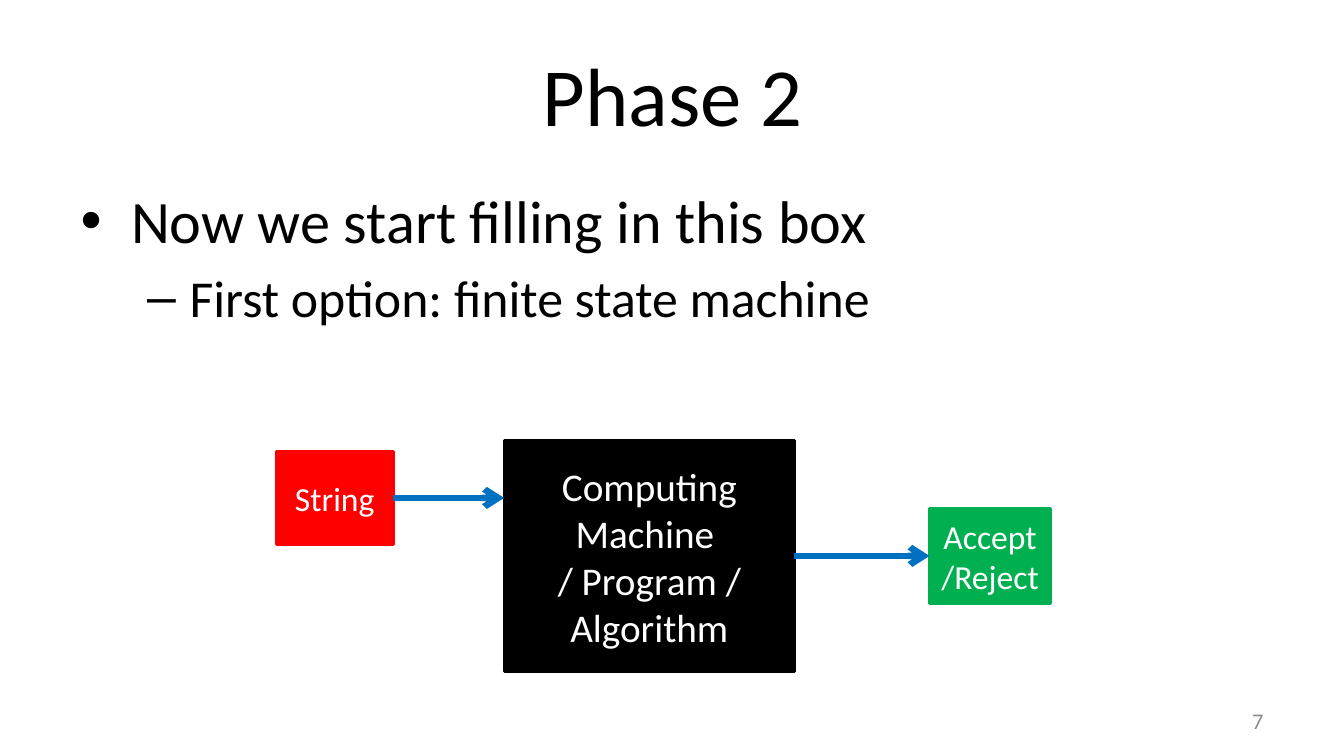
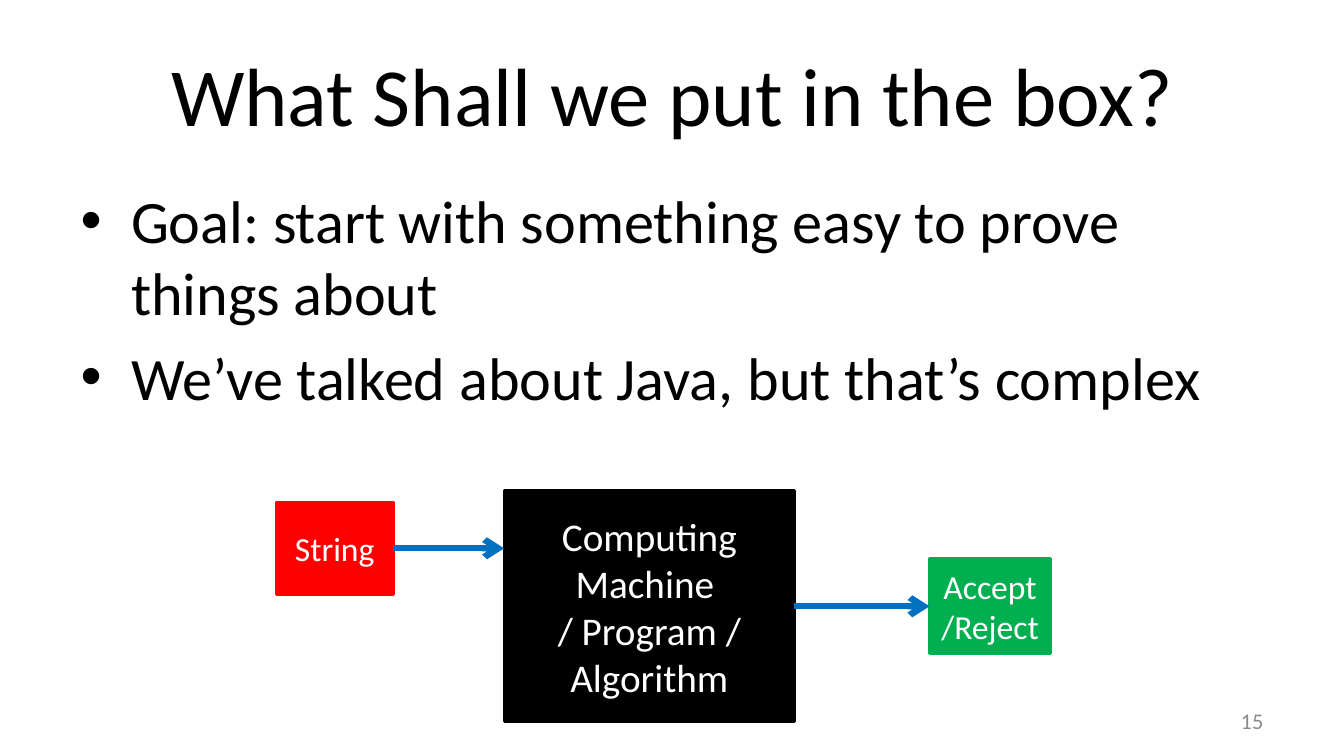
from dataclasses import dataclass

from lxml import etree
from pptx import Presentation
from pptx import util as u
from pptx.dml.color import RGBColor
from pptx.enum import shapes, text
from pptx.oxml import ns


@dataclass(frozen=True)
class Theme:
    font: str = "Calibri"
    ink: str = "000000"
    paper: str = "FFFFFF"
    muted: str = "8C8C8C"
    source: str = "FF0000"
    result: str = "00B050"
    arrow: str = "0070C0"
    title_size: int = 59
    body_sizes: tuple = (43, 37)
    machine_size: int = 28
    label_size: int = 24
    number_size: int = 16
    outline: float = 2
    arrow_width: float = 4.5


THEME = Theme()
CENTER, RIGHT = text.PP_ALIGN.CENTER, text.PP_ALIGN.RIGHT
MIDDLE = text.MSO_ANCHOR.MIDDLE
RIGHT_SIDE, LEFT_SIDE = 3, 1

# Boxes are left, top, width, height in inches
TITLE_BOX = (0.67, 0.3, 12, 1.25)
BODY_BOX = (0.67, 1.75, 12, 4.95)
NUMBER_BOX = (9.55, 6.95, 3.11, 0.4)

# Bullet character, left margin and hanging indent for each level
BULLETS = (("•", 0.5, -0.5), ("–", 1.08, -0.42))


def rgb(color):
    return RGBColor.from_string(color)


def inches(box):
    return [u.Inches(length) for length in box]


def add_child(parent, tag, **attributes):
    return etree.SubElement(parent, ns.qn(tag), attributes)


def write_para(para, words, size, color=THEME.ink, align=None):
    para.alignment = align
    span = para.add_run()
    span.text = words
    span.font.name = THEME.font
    span.font.size = u.Pt(size)
    span.font.color.rgb = rgb(color)


def paragraphs(frame, count):
    """Give the frame the wanted number of paragraphs."""
    for _ in range(count - 1):
        frame.add_paragraph()
    return frame.paragraphs


def add_frame(page, box, anchor=text.MSO_ANCHOR.TOP):
    frame = page.shapes.add_textbox(*inches(box)).text_frame
    frame.word_wrap = True
    frame.vertical_anchor = anchor
    frame.margin_left = frame.margin_right = u.Inches(0.13)
    frame.margin_top = frame.margin_bottom = u.Inches(0.07)
    return frame


def add_line_of_text(page, box, words, **style):
    frame = add_frame(page, box, MIDDLE)
    write_para(frame.paragraphs[0], words, **style)


def set_bullet(para, level):
    mark, margin, indent = BULLETS[level]
    para.level = level
    props = para._p.get_or_add_pPr()
    props.set("marL", str(u.Inches(margin)))
    props.set("indent", str(u.Inches(indent)))
    add_child(add_child(props, "a:spcBef"), "a:spcPct", val="20000")
    add_child(props, "a:buFont", typeface="Arial")
    add_child(props, "a:buChar", char=mark)


def add_body(page, box, items):
    frame = add_frame(page, box)
    for para, (level, words) in zip(paragraphs(frame, len(items)), items):
        write_para(para, words, THEME.body_sizes[level])
        set_bullet(para, level)


def add_block(group, box, lines, fill, size):
    block = group.shapes.add_shape(shapes.MSO_SHAPE.RECTANGLE, *inches(box))
    block.shadow.inherit = False
    block.fill.solid()
    block.fill.fore_color.rgb = rgb(fill)
    block.line.color.rgb = rgb(fill)
    block.line.width = u.Pt(THEME.outline)
    frame = block.text_frame
    frame.word_wrap = True
    frame.vertical_anchor = MIDDLE
    for para, words in zip(paragraphs(frame, len(lines)), lines):
        write_para(para, words, size, THEME.paper, CENTER)
    return block


def add_arrow(group, start, end):
    """Draw a level arrow from the right side of start to the left of end."""
    level = start.top + start.height // 2
    arrow = group.shapes.add_connector(
        shapes.MSO_CONNECTOR.STRAIGHT,
        start.left + start.width, level, end.left, level)
    arrow.line.color.rgb = rgb(THEME.arrow)
    arrow.line.width = u.Pt(THEME.arrow_width)
    add_child(arrow.line._get_or_add_ln(), "a:tailEnd", type="arrow")
    add_child(arrow._element.spPr, "a:effectLst")
    arrow.begin_connect(start, RIGHT_SIDE)
    return arrow


def add_diagram(page, left, top):
    """String goes into the machine, which accepts or rejects it."""
    group = page.shapes.add_group_shape()
    machine_height, result_height = 2.29, 0.94
    machine = add_block(
        group, (left + 2.26, top, 2.88, machine_height),
        ["Computing Machine ", "/ Program / Algorithm"],
        THEME.ink, THEME.machine_size)
    source = add_block(
        group, (left, top + 0.11, 1.16, 0.92), ["String"],
        THEME.source, THEME.label_size)
    result_top = top + (machine_height - result_height) / 2
    result = add_block(
        group, (left + 6.48, result_top, 1.2, result_height),
        ["Accept/Reject"], THEME.result, THEME.label_size)
    # The first arrow meets the machine above its middle, so its end is free
    add_arrow(group, source, machine)
    add_arrow(group, machine, result).end_connect(result, LEFT_SIDE)


def add_page(deck, title, items, number, diagram_top):
    page = deck.slides.add_slide(deck.slide_layouts[6])
    add_line_of_text(page, TITLE_BOX, title,
                     size=THEME.title_size, align=CENTER)
    add_body(page, BODY_BOX, items)
    add_line_of_text(page, NUMBER_BOX, number, size=THEME.number_size,
                     color=THEME.muted, align=RIGHT)
    add_diagram(page, 2.74, diagram_top)


def main():
    deck = Presentation()
    deck.slide_width, deck.slide_height = u.Inches(13.33), u.Inches(7.5)
    add_page(deck, "Phase 2",
             [(0, "Now we start filling in this box"),
              (1, "First option: finite state machine")],
             number="7", diagram_top=4.37)
    add_page(deck, "What Shall we put in the box?",
             [(0, "Goal: start with something easy to prove things about"),
              (0, "We’ve talked about Java, but that’s complex")],
             number="15", diagram_top=4.87)
    deck.save("out.pptx")


if __name__ == "__main__":
    main()
